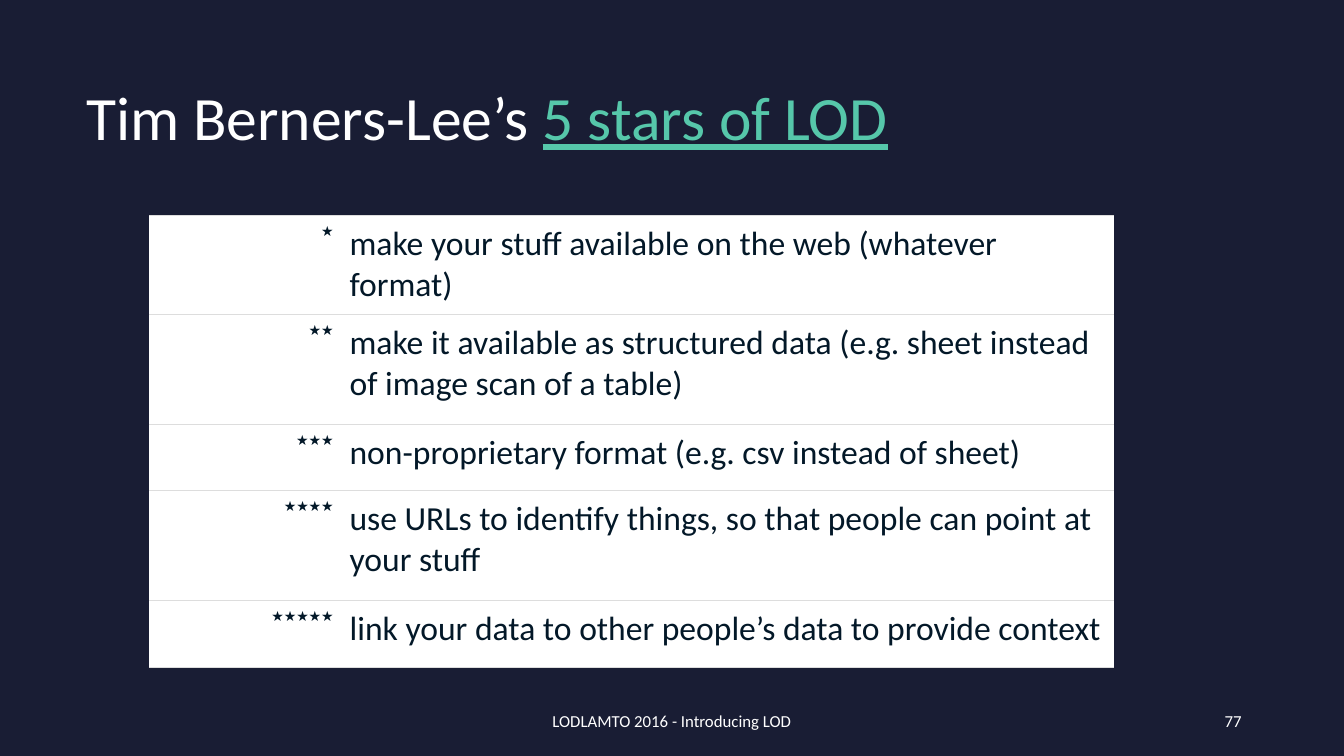
from lxml.etree import SubElement
from pptx import Presentation
from pptx.dml.color import RGBColor
from pptx.enum.text import MSO_ANCHOR, PP_ALIGN
from pptx.oxml.ns import qn
from pptx.util import Pt

FONT = "Calibri"
NAVY, WHITE, GREEN, INK, RULE = "191D34", "FFFFFF", "56C7AA", "031828", "DDDDDD"

# Row height and advice for one to five stars
STARS = [
    (70.5, "make your stuff available on the web (whatever format)"),
    (78.5, "make it available as structured data (e.g. sheet instead of image scan of a table)"),
    (47.5, "non-proprietary format (e.g. csv instead of sheet)"),
    (78.5, "use URLs to identify things, so that people can point at your stuff"),
    (47.5, "link your data to other people’s data to provide context"),
]


def rgb(color):
    return RGBColor.from_string(color)


def add_run(p, text, size=12, color=WHITE, underline=None):
    r = p.add_run()
    r.text = text
    r.font.name = FONT
    r.font.size = Pt(size)
    r.font.color.rgb = rgb(color)
    r.font.underline = underline


def add_box(s, x, y, w, h, align=PP_ALIGN.LEFT):
    tf = s.shapes.add_textbox(Pt(x), Pt(y), Pt(w), Pt(h)).text_frame
    tf.word_wrap = True
    tf.vertical_anchor = MSO_ANCHOR.MIDDLE
    p = tf.paragraphs[0]
    p.alignment = align
    return p


def rule_cell(cell):
    """Draw lines above and below the cell and none at its sides."""
    tcPr = cell._tc.get_or_add_tcPr()
    for side in ("L", "R", "T", "B"):
        ln = SubElement(tcPr, qn(f"a:ln{side}"), w=str(Pt(0.75)))
        if side in "LR":
            SubElement(ln, qn("a:noFill"))
        else:
            fill = SubElement(ln, qn("a:solidFill"))
            SubElement(fill, qn("a:srgbClr"), val=RULE)


def fill_cell(cell, text, size, align):
    cell.margin_left = cell.margin_right = Pt(5.76)
    cell.margin_top = cell.margin_bottom = Pt(5.76)
    rule_cell(cell)
    cell.fill.solid()
    cell.fill.fore_color.rgb = rgb(WHITE)
    p = cell.text_frame.paragraphs[0]
    p.alignment = align
    add_run(p, text, size, INK)


def add_title(s, x, y, w, h):
    p = add_box(s, x, y, w, h)
    p.line_spacing = 0.9
    add_run(p, "Tim Berners-Lee’s ", 44)
    add_run(p, "5 stars of LOD", 44, GREEN, underline=True)


def add_star_table(s, x, y, w, h, star_width=137.5):
    table = s.shapes.add_table(len(STARS), 2, Pt(x), Pt(y), Pt(w), Pt(h)).table
    table.first_row = table.horz_banding = False
    table.columns[0].width = Pt(star_width)
    table.columns[1].width = Pt(w - star_width)
    for i, (height, advice) in enumerate(STARS):
        table.rows[i].height = Pt(height)
        fill_cell(table.cell(i, 0), "★" * (i + 1), 10, PP_ALIGN.RIGHT)
        fill_cell(table.cell(i, 1), advice, 24, PP_ALIGN.LEFT)


def add_footer(s, x, y, w, h):
    # Event name in the middle, slide number at the right
    name_width, number_width = 324, 216
    add_run(add_box(s, x + (w - name_width) / 2, y, name_width, h, PP_ALIGN.CENTER),
            "LODLAMTO 2016 - Introducing LOD")
    add_run(add_box(s, x + w - number_width, y, number_width, h, PP_ALIGN.RIGHT), "77")


def main():
    prs = Presentation()
    prs.slide_width, prs.slide_height = Pt(960), Pt(540)
    s = prs.slides.add_slide(prs.slide_layouts[6])
    s.background.fill.solid()
    s.background.fill.fore_color.rgb = rgb(NAVY)
    add_title(s, 54.5, 49.5, 828, 73.5)
    add_star_table(s, 106.5, 154, 689, sum(height for height, _ in STARS))
    add_footer(s, 66, 500.5, 828, 28.75)
    prs.save("out.pptx")


if __name__ == "__main__":
    main()
